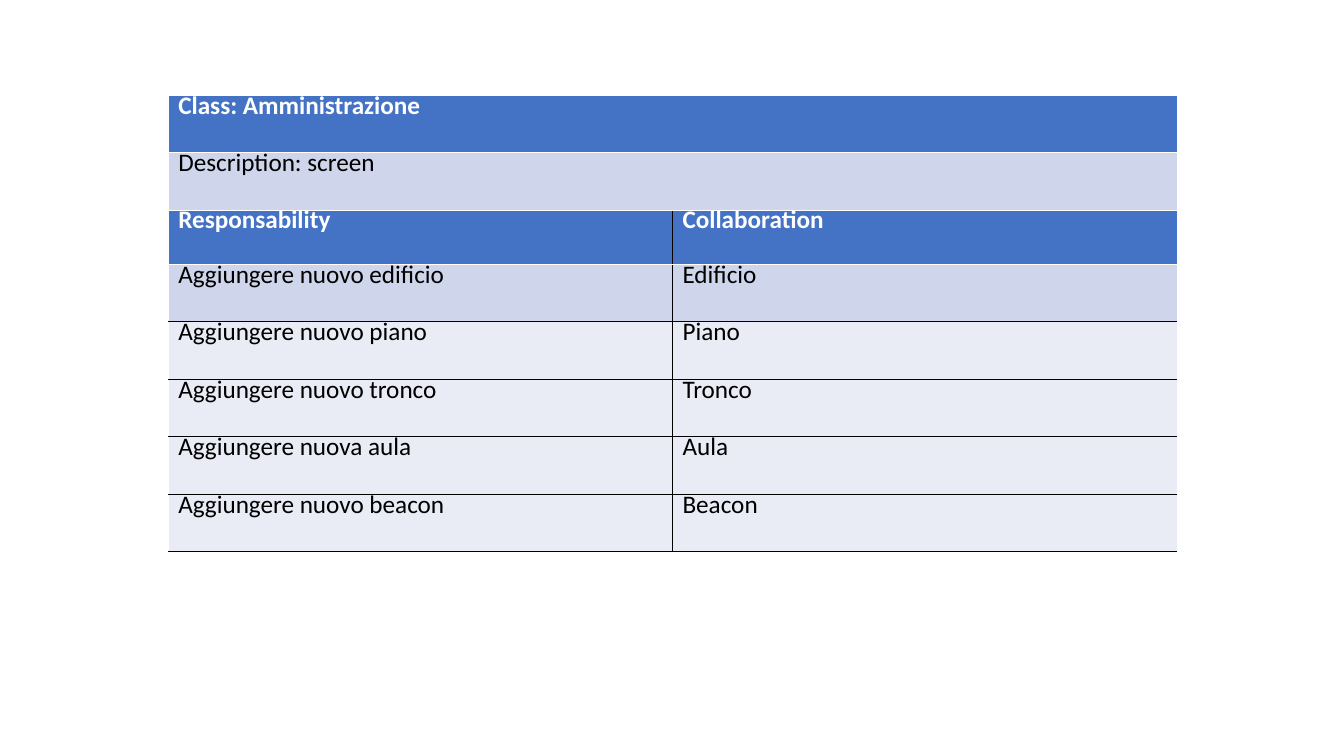
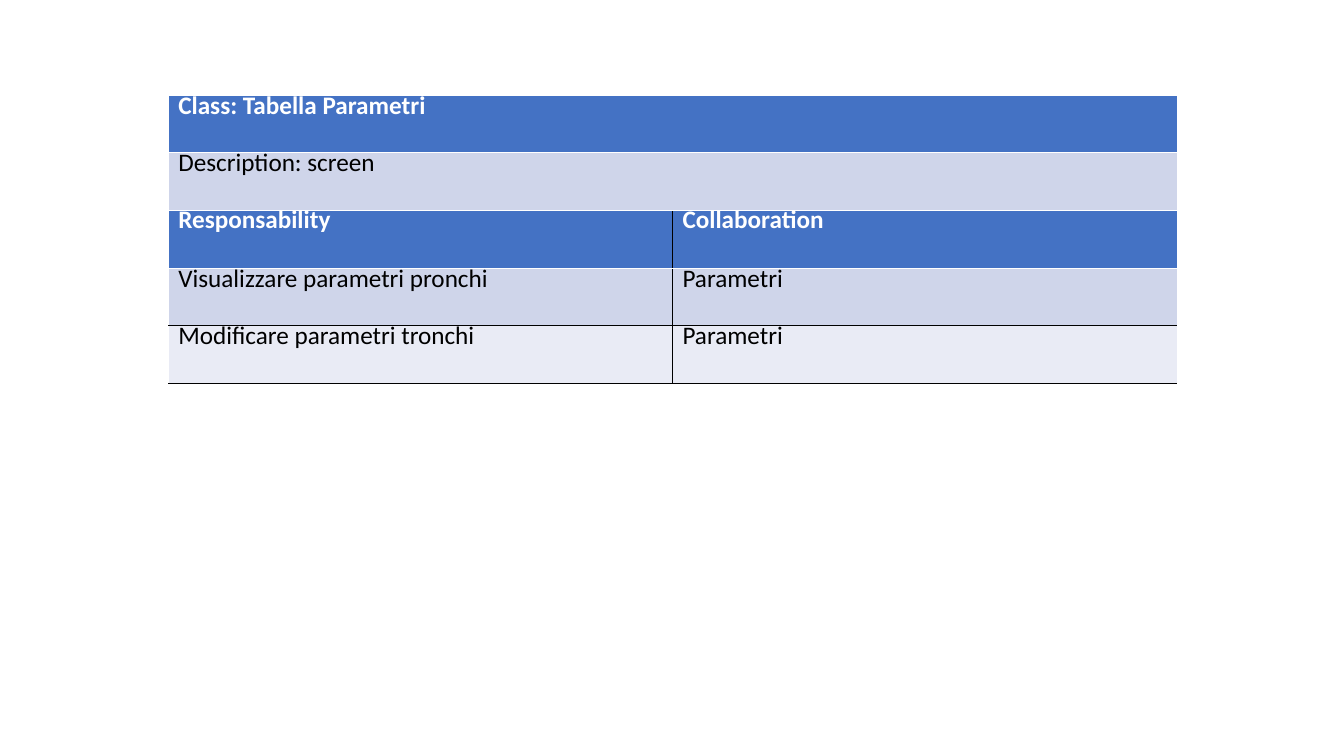
from lxml.etree import SubElement
from pptx import Presentation
from pptx.dml.color import RGBColor
from pptx.oxml.ns import qn
from pptx.util import Inches, Pt

COLORS = {
    "header": "4472C4",
    "band": "CFD5EA",
    "row": "E9EBF5",
    "white": "FFFFFF",
    "black": "000000",
}
FONT = "Calibri"
LEFT, WIDTH = 1.67, 10.01
ROW_HEIGHT = 0.57
CLASS_TOP = 0.94
DUTIES_TOP = CLASS_TOP + 2 * ROW_HEIGHT
BORDER_WIDTH = Pt(0.06)

CARDS = [
    {
        "name": "Amministrazione",
        "header_height": 0.54,
        "duties": [
            ("Aggiungere nuovo edificio", "Edificio"),
            ("Aggiungere nuovo piano", "Piano"),
            ("Aggiungere nuovo tronco", "Tronco"),
            ("Aggiungere nuova aula", "Aula"),
            ("Aggiungere nuovo beacon", "Beacon"),
        ],
    },
    {
        "name": "Tabella Parametri",
        "header_height": 0.58,
        "duties": [
            ("Visualizzare parametri pronchi", "Parametri"),
            ("Modificare parametri tronchi", "Parametri"),
        ],
    },
]


def set_borders(cell, colors):
    """Draw the left, right, top and bottom borders in the named colours."""
    properties = cell._tc.get_or_add_tcPr()
    for side, color in zip("LRTB", colors):
        line = SubElement(properties, qn(f"a:ln{side}"), w=str(BORDER_WIDTH))
        fill = SubElement(line, qn("a:solidFill"))
        SubElement(fill, qn("a:srgbClr"), val=COLORS[color])


def fill_cell(cell, text, row):
    """Write a cell's text and colour it by the row it stands in."""
    cell.fill.solid()
    fill = ("header", "band", "row")[min(row, 2)]
    cell.fill.fore_color.rgb = RGBColor.from_string(COLORS[fill])
    paragraph = cell.text_frame.paragraphs[0]
    paragraph.line_spacing = 0.58
    run = paragraph.add_run()
    run.text = text
    run.font.name = FONT
    run.font.size = Pt(18)
    run.font.bold = row == 0
    color = "white" if row == 0 else "black"
    run.font.color.rgb = RGBColor.from_string(COLORS[color])


def add_card_table(slide, top, rows, header_height, rule_color):
    """Add a table with white outer sides and rules of the given colour."""
    column_count = len(rows[0])
    height = header_height + ROW_HEIGHT * (len(rows) - 1)
    table = slide.shapes.add_table(
        len(rows), column_count,
        Inches(LEFT), Inches(top), Inches(WIDTH), Inches(height),
    ).table
    table.first_row = table.horz_banding = False
    for row, texts in enumerate(rows):
        table.rows[row].height = Inches(ROW_HEIGHT if row else header_height)
        for column, text in enumerate(texts):
            cell = table.cell(row, column)
            set_borders(cell, (
                rule_color if column > 0 else "white",
                rule_color if column < column_count - 1 else "white",
                rule_color if row > 1 else "white",
                rule_color if row > 0 else "white",
            ))
            fill_cell(cell, text, row)


def add_card(presentation, card):
    """Add one class card slide: duties below, class name above."""
    slide = presentation.slides.add_slide(presentation.slide_layouts[6])
    duties = [("Responsability", "Collaboration"), *card["duties"]]
    add_card_table(slide, DUTIES_TOP, duties, card["header_height"], "black")
    heading = [(f"Class: {card['name']}",), ("Description: screen",)]
    add_card_table(slide, CLASS_TOP, heading, ROW_HEIGHT, "white")


def main():
    """Build the class cards and save them."""
    presentation = Presentation()
    presentation.slide_width = Inches(13.34)
    presentation.slide_height = Inches(7.5)
    for card in CARDS:
        add_card(presentation, card)
    presentation.save("out.pptx")


if __name__ == "__main__":
    main()
